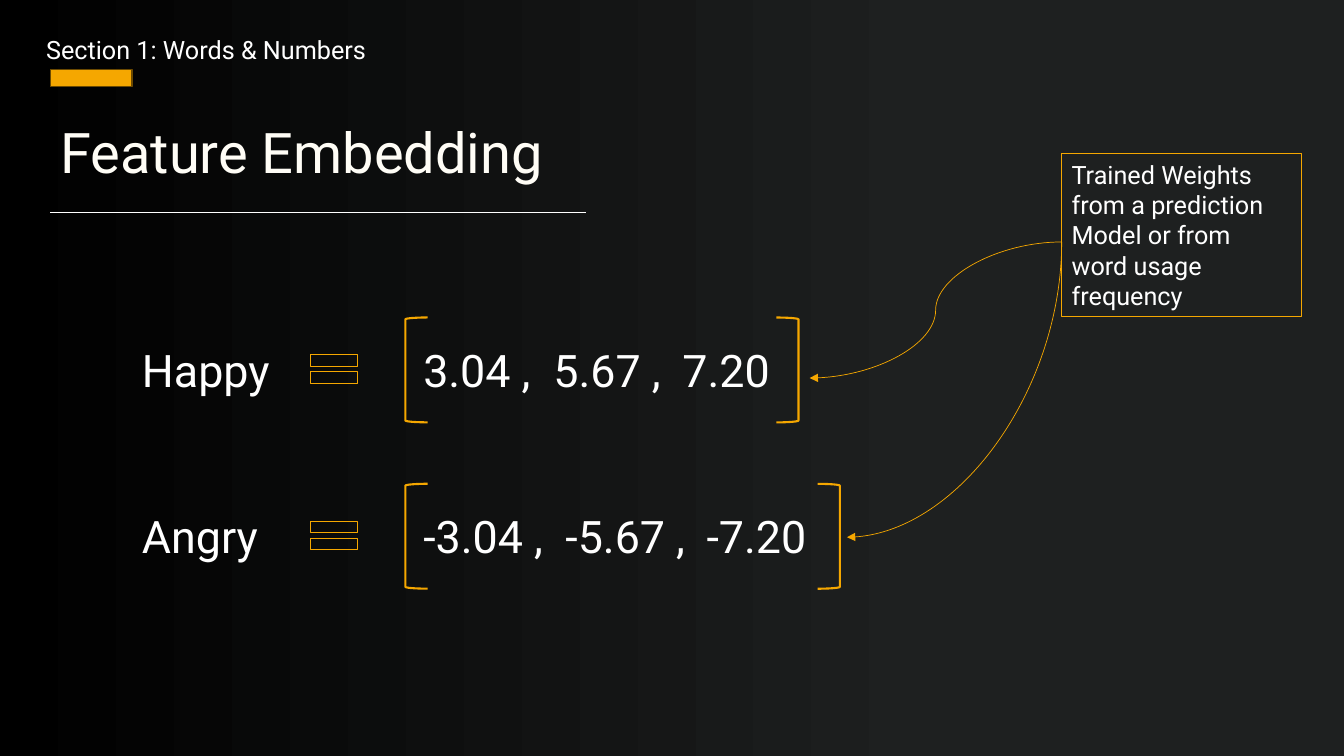
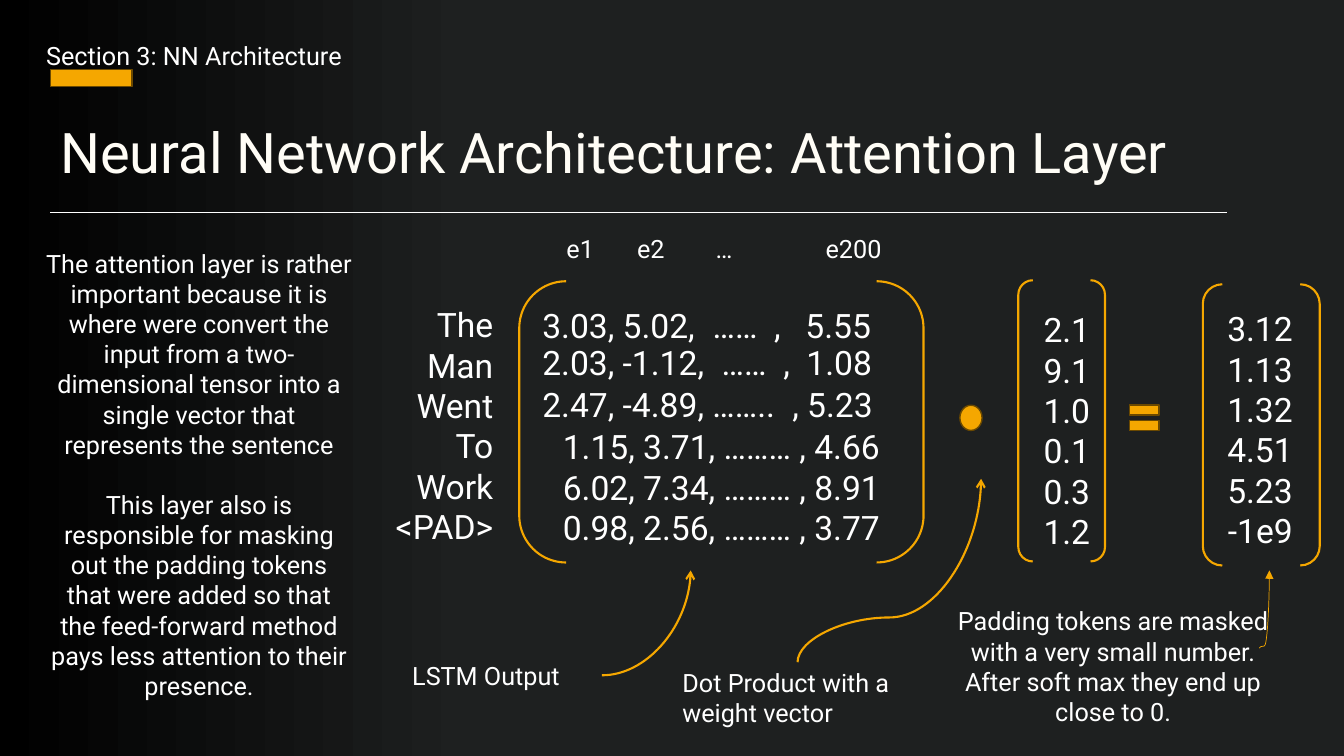
from lxml.etree import SubElement
from pptx import Presentation
from pptx.dml.color import RGBColor
from pptx.enum.shapes import MSO_CONNECTOR, MSO_SHAPE
from pptx.enum.text import PP_ALIGN
from pptx.oxml.ns import qn
from pptx.util import Inches, Pt

WHITE = RGBColor(0xFF, 0xFF, 0xFF)
IVORY = RGBColor(0xFF, 0xFD, 0xF6)
AMBER = RGBColor(0xF5, 0xA7, 0x00)
BROWN = RGBColor(0x6B, 0x49, 0x00)
BLACK = RGBColor(0x00, 0x00, 0x00)
CHARCOAL = RGBColor(0x1E, 0x20, 0x20)
COAL = RGBColor(0x16, 0x18, 0x18)
FONT = "Roboto"

# word, vector, tab stops, top of the bracket, left of the closing bracket
EMBEDDINGS = [
    ("Happy", "3.04 ,\t5.67 ,\t7.20", (1.29, 2.57), 3.15, 7.7),
    ("Angry", "-3.04 ,\t-5.67 ,\t-7.20", (1.41, 2.81), 4.8, 8.11),
]
CALLOUT = "Trained Weights from a prediction Model or from word usage frequency"

EXPLANATION = [
    "The attention layer is rather important because it is where were convert "
    "the input from a two-dimensional tensor into a single vector that "
    "represents the sentence",
    "This layer also is responsible for masking out the padding tokens that "
    "were added so that the feed-forward method pays less attention to their "
    "presence.",
]
TOKENS = ["The", "Man", "Went", "To", "Work", "<PAD>"]
WEIGHTS = ["2.1", "9.1", "1.0", "0.1", "0.3", "1.2"]
SCORES = ["3.12", "1.13", "1.32", "4.51", "5.23", "-1e9"]
COLUMN_HEADS = "\te1\te2\t…\te200"
HEAD_TABS = (0.37, 1.07, 1.85, 2.94)
# top, row, tab stops
UPPER_ROWS = [
    (2.98, "3.03, 5.02,\t……\t,\t5.55", (1.69, 2.3, 2.61)),
    (3.34, "2.03, -1.12,\t……\t,\t1.08", (1.78, 2.39, 2.62)),
    (3.76, "2.47, -4.89, ……..\t, 5.23", (2.48,)),
]
LOWER_ROWS = [
    "1.15, 3.71, ……… , 4.66",
    "6.02, 7.34, ……… , 8.91",
    "0.98, 2.56, ……… , 3.77",
]
# text, box, alignment
NOTES = [
    ("LSTM Output", (3.99, 6.5, 1.98, 0.4), PP_ALIGN.LEFT),
    ("Dot Product with a weight vector", (6.67, 6.57, 2.49, 0.71), PP_ALIGN.LEFT),
    ("Padding tokens are masked with a very small number. "
     "After soft max they end up close to 0.",
     (9.37, 5.96, 3.34, 1.31), PP_ALIGN.CENTER),
]


def write(frame, content, size=18, color=WHITE, align=PP_ALIGN.LEFT, gap=0, tabs=()):
    """Fill a text frame with one paragraph per string; gap is the space between."""
    frame.word_wrap = True
    lines = [content] if isinstance(content, str) else content
    for index, line in enumerate(lines):
        paragraph = frame.add_paragraph() if index else frame.paragraphs[0]
        paragraph.alignment = align
        if index and gap:
            paragraph.space_before = Pt(gap)
        if tabs:
            tab_list = SubElement(paragraph._p.get_or_add_pPr(), qn("a:tabLst"))
            for tab in tabs:
                SubElement(tab_list, qn("a:tab"), pos=str(Inches(tab)), algn="l")
        run = paragraph.add_run()
        run.text = line
        run.font.name = FONT
        run.font.size = Pt(size)
        run.font.color.rgb = color


def add_text(slide, content, box, **style):
    write(slide.shapes.add_textbox(*map(Inches, box)).text_frame, content, **style)


def add_figure(slide, kind, box, fill=None, line=AMBER, weight=1.5, rotation=0):
    shape = slide.shapes.add_shape(kind, *map(Inches, box))
    shape.shadow.inherit = False
    shape.rotation = rotation
    if fill is None:
        shape.fill.background()
    else:
        shape.fill.solid()
        shape.fill.fore_color.rgb = fill
    shape.line.color.rgb = line
    shape.line.width = Pt(weight)
    return shape


def add_line(slide, start, end, color, weight, kind=MSO_CONNECTOR.STRAIGHT):
    connector = slide.shapes.add_connector(kind, *map(Inches, start + end))
    connector.line.color.rgb = color
    connector.line.width = Pt(weight)
    SubElement(connector._element.spPr, qn("a:effectLst"))
    return connector


def add_curve(slide, start, end, bends, weight, head, rotation=0, flips="", bend=None):
    """Draw a curved arrow; a quarter turn swaps the sides of its frame."""
    connector = add_line(slide, start, end, AMBER, weight, MSO_CONNECTOR.CURVE)
    width, height = (abs(b - a) for a, b in zip(start, end))
    if rotation == 90:
        width, height = height, width
    connector.left = Inches((start[0] + end[0] - width) / 2)
    connector.top = Inches((start[1] + end[1] - height) / 2)
    connector.width, connector.height = Inches(width), Inches(height)
    properties = connector._element.spPr
    transform = properties.find(qn("a:xfrm"))
    transform.set("rot", str(rotation * 60000))
    transform.set("flipH", str(int("h" in flips)))
    transform.set("flipV", str(int("v" in flips)))
    geometry = properties.find(qn("a:prstGeom"))
    geometry.set("prst", f"curvedConnector{bends}")
    if bend is not None:
        SubElement(geometry.find(qn("a:avLst")), qn("a:gd"), name="adj1",
                   fmla=f"val {round(bend * 100000)}")
    SubElement(properties.find(qn("a:ln")), qn("a:tailEnd"), type=head)


def add_slide(presentation, section, section_top, title, rule_end, dark_share):
    """Add a slide with the shared backdrop, section label, title and rule."""
    slide = presentation.slides.add_slide(presentation.slide_layouts[6])
    fill = slide.background.fill
    fill.gradient()
    fill.gradient_angle = 0
    stop_list = next(slide._element.iter(qn("a:gsLst")))
    for stop in list(stop_list):
        stop_list.remove(stop)
    stops = [(0, BLACK), (dark_share, CHARCOAL), (100, CHARCOAL), (100, COAL)]
    for position, color in stops:
        stop = SubElement(stop_list, qn("a:gs"), pos=str(position * 1000))
        SubElement(stop, qn("a:srgbClr"), val=str(color))
    add_text(slide, title, (0.5, 1.12, 12.33, 0.77), size=40, color=IVORY)
    add_figure(slide, MSO_SHAPE.RECTANGLE, (0.5, 0.69, 0.81, 0.17), AMBER, BROWN, 1)
    add_line(slide, (0.5, 2.11), (rule_end, 2.11), WHITE, 0.5)
    add_text(slide, section, (0.36, section_top, 6.67, 0.4))
    return slide


def build_embedding(presentation):
    slide = add_slide(presentation, "Section 1: Words & Numbers", 0.29,
                      "Feature Embedding", 5.81, 69)
    for word, vector, tabs, top, closing in EMBEDDINGS:
        add_text(slide, word, (1.31, top + 0.2, 4.05, 0.64), size=32)
        add_figure(slide, MSO_SHAPE.MATH_EQUAL, (3, top + 0.27, 0.63, 0.48), weight=0.75)
        for left, rotation in ((4.02, 0), (closing, 180)):
            add_figure(slide, MSO_SHAPE.LEFT_BRACKET, (left, top, 0.22, 1.04),
                       rotation=rotation)
        add_text(slide, vector, (4.1, top + 0.2, 4.3, 0.64), size=32, tabs=tabs)
    source = (10.53, 2.4)
    add_curve(slide, source, (8.4, 5.33), 2, 0.5, "triangle", rotation=90)
    add_curve(slide, source, (8.03, 3.75), 3, 0.5, "triangle", rotation=180, flips="v")
    callout = add_figure(slide, MSO_SHAPE.RECTANGLE, (10.53, 1.52, 2.38, 1.62), weight=0.75)
    write(callout.text_frame, CALLOUT)


def build_attention(presentation):
    slide = add_slide(presentation, "Section 3: NN Architecture", 0.35,
                      "Neural Network Architecture: Attention Layer", 12.17, 35)
    add_text(slide, EXPLANATION, (0.36, 2.41, 3.23, 4.64), align=PP_ALIGN.CENTER, gap=21)

    for box in ((5.15, 2.79, 4.01, 2.79), (10.1, 2.78, 0.86, 2.79),
                (11.93, 2.82, 1.16, 2.79)):
        add_figure(slide, MSO_SHAPE.DOUBLE_BRACKET, box)
    add_text(slide, COLUMN_HEADS, (5.15, 2.27, 4.01, 0.4), tabs=HEAD_TABS)
    for top, row, tabs in UPPER_ROWS:
        add_text(slide, row, (5.28, top, 4.45, 0.5), size=24, tabs=tabs)
    add_text(slide, LOWER_ROWS, (4.93, 4.18, 4.45, 1.31), size=24, align=PP_ALIGN.CENTER)
    for column, box in ((TOKENS, (3.6, 2.97, 1.39, 2.52)),
                        (WEIGHTS, (9.52, 3.02, 1.39, 2.52)),
                        (SCORES, (11.04, 3.01, 1.88, 2.52))):
        add_text(slide, column, box, size=24, align=PP_ALIGN.RIGHT)
    for operator, box in ((MSO_SHAPE.OVAL, (9.52, 4.02, 0.22, 0.25)),
                          (MSO_SHAPE.MATH_EQUAL, (11.15, 3.93, 0.4, 0.43))):
        add_figure(slide, operator, box, AMBER, BROWN, 1)

    for note, box, align in NOTES:
        add_text(slide, note, box, align=align)
    add_curve(slide, (5.97, 6.7), (6.85, 5.66), 2, 1.5, "arrow", flips="v")
    add_curve(slide, (7.91, 6.57), (9.73, 4.75), 3, 1.5, "arrow",
              rotation=90, flips="hv", bend=0.244)
    add_curve(slide, (12.49, 6.43), (12.59, 5.66), 3, 0.5, "triangle",
              rotation=90, flips="hv", bend=0.027)


def main():
    presentation = Presentation()
    presentation.slide_width = Inches(13.33)
    presentation.slide_height = Inches(7.5)
    build_embedding(presentation)
    build_attention(presentation)
    presentation.save("out.pptx")


if __name__ == "__main__":
    main()
